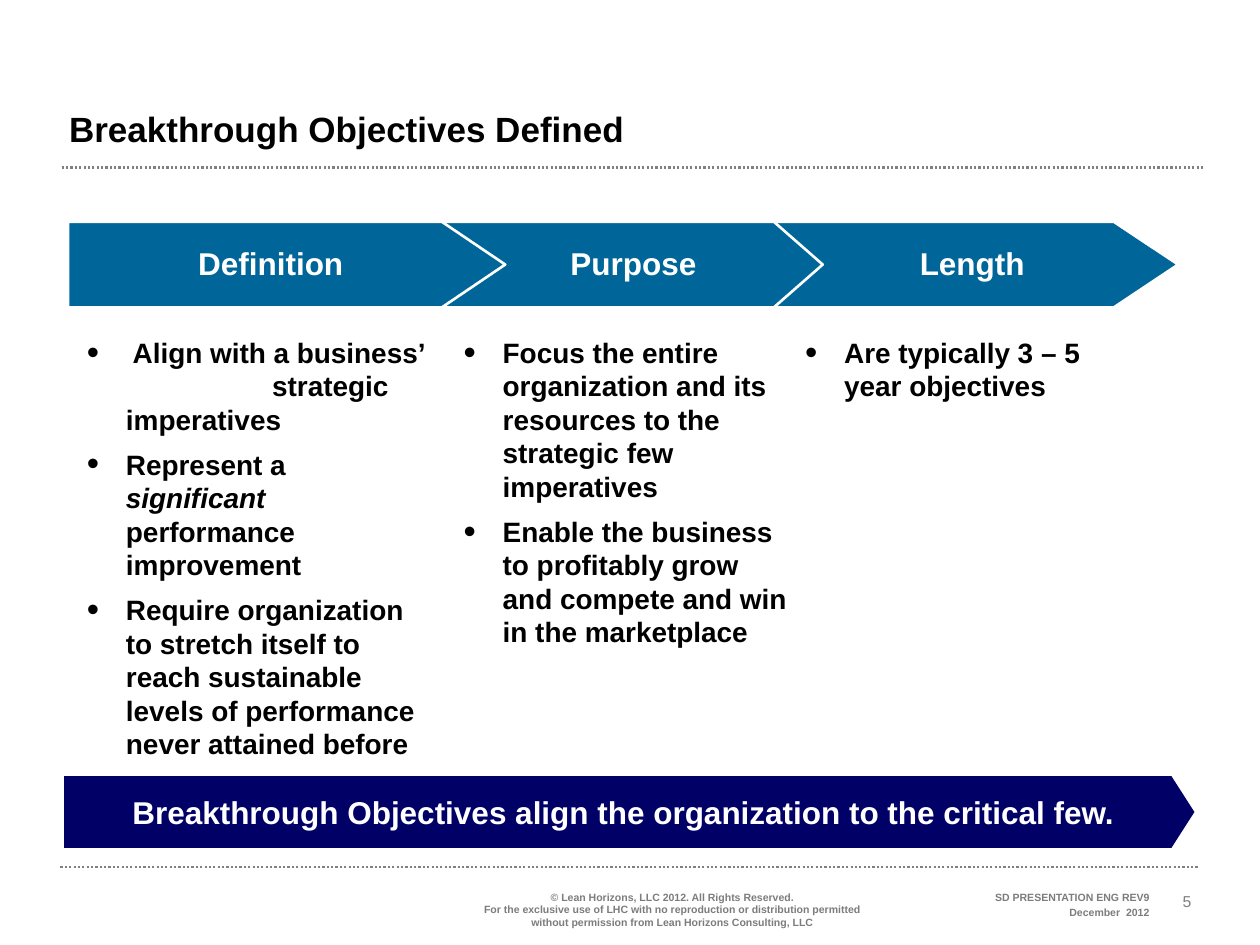
from lxml.etree import SubElement
from pptx import Presentation
from pptx.dml.color import RGBColor
from pptx.enum.dml import MSO_LINE
from pptx.enum.shapes import MSO_CONNECTOR, MSO_SHAPE
from pptx.enum.text import MSO_ANCHOR, PP_ALIGN
from pptx.oxml.ns import qn
from pptx.util import Inches, Pt

# Content
TITLE = "Breakthrough Objectives Defined"
BANNER = "Breakthrough Objectives align the organization to the critical few."
REVISION = ["SD PRESENTATION ENG REV9", "December  2012"]
COPYRIGHT = ["© Lean Horizons, LLC 2012. All Rights Reserved.\v"
             "For the exclusive use of LHC with no reproduction or distribution permitted "
             "without permission from Lean Horizons Consulting, LLC"]
# Each bullet is a list of runs; odd runs are italic
COLUMNS = [
    (0.61, 2.89, [[" Align with a business’\v\tstrategic imperatives"],
                  ["Represent a ", "significant ", "performance improvement"],
                  ["Require organization to stretch itself to reach sustainable "
                   "levels of performance never attained before"]]),
    (3.6, 2.79, [["Focus the entire organization and its resources to the "
                  "strategic few imperatives"],
                 ["Enable the business to profitably grow and compete and win "
                  "in the marketplace"]]),
    (6.31, 2.71, [["Are typically 3 – 5 year objectives"]]),
]
# Step arrows: text, left, width, point depth, alignment, text indent
STEPS = [
    ("Definition", 0.54, 3.47, 0.74, PP_ALIGN.CENTER, 0),
    ("Purpose", 3.53, 3.0, 0.57, PP_ALIGN.CENTER, 0.19),
    ("Length", 6.07, 3.28, 0.75, PP_ALIGN.LEFT, 1.18),
]
RULES = [(0.49, 9.56, 1.33), (0.48, 9.52, 6.88)]
BLACK, WHITE, GRAY, FOOT = "000000", "FFFFFF", "808080", "7C7C7C"
BLUE, NAVY = "006699", "000066"


def rgb(value):
    return RGBColor.from_string(value)


def style(p, size, color, bold=True, align=PP_ALIGN.LEFT):
    p.alignment = align
    for r in p.runs:
        f = r.font
        f.name, f.size, f.bold = "Arial", Pt(size), bold
        f.color.rgb = rgb(color)


def text_box(s, box, paras, size, color, bold=True, align=PP_ALIGN.LEFT,
             anchor=MSO_ANCHOR.TOP, gap=0):
    tf = s.shapes.add_textbox(*map(Inches, box)).text_frame
    tf.word_wrap, tf.vertical_anchor = True, anchor
    for i, text in enumerate(paras):
        p = tf.paragraphs[0] if i == 0 else tf.add_paragraph()
        p.text = text
        style(p, size, color, bold, align)
        if i:
            p.space_before = Pt(gap)
    return tf


def add_bullet(p):
    pPr = p._p.get_or_add_pPr()
    pPr.set("marL", str(Inches(0.31)))
    pPr.set("indent", str(-Inches(0.31)))
    SubElement(pPr, qn("a:buSzPct"), val="125000")
    SubElement(pPr, qn("a:buFont"), typeface="Arial")
    SubElement(pPr, qn("a:buChar"), char="•")
    if "\t" in p.text:
        tabs = SubElement(pPr, qn("a:tabLst"))
        SubElement(tabs, qn("a:tab"), pos=str(Inches(1.47)), algn="l")


def bullet_column(s, left, width, bullets):
    tf = text_box(s, (left, 2.62, width, 3.26), [b[0] for b in bullets], 16, BLACK, gap=6.4)
    tf.margin_left = tf.margin_right = Inches(0.08)
    tf.margin_top = tf.margin_bottom = Inches(0.04)
    for p, runs in zip(tf.paragraphs, bullets):
        for text in runs[1:]:
            p.add_run().text = text
        add_bullet(p)
        style(p, 16, BLACK)
        if len(runs) > 1:
            for r in p.runs[1::2]:
                r.font.italic = True


def arrow(s, box, depth, fill, text, align=PP_ALIGN.CENTER):
    sp = s.shapes.add_shape(MSO_SHAPE.PENTAGON, *map(Inches, box))
    sp.adjustments[0] = depth
    sp.shadow.inherit = False
    sp.fill.solid()
    sp.fill.fore_color.rgb = rgb(fill)
    sp.line.fill.background()
    tf = sp.text_frame
    tf.vertical_anchor = MSO_ANCHOR.MIDDLE
    tf.text = text
    style(tf.paragraphs[0], 18, WHITE, align=align)
    return sp


def main():
    prs = Presentation()
    prs.slide_width, prs.slide_height = Inches(10), Inches(7.5)
    s = prs.slides.add_slide(prs.slide_layouts[6])

    # Dotted rules
    for x1, x2, y in RULES:
        rule = s.shapes.add_connector(MSO_CONNECTOR.STRAIGHT, *map(Inches, (x1, y, x2, y)))
        rule.line.color.rgb = rgb(GRAY)
        rule.line.width = Pt(1.25)
        rule.line.dash_style = MSO_LINE.ROUND_DOT
        SubElement(rule._element.spPr, qn("a:effectLst"))

    # Footer
    text_box(s, (9.16, 6.88, 0.52, 0.4), ["5"], 9, GRAY, False,
             PP_ALIGN.CENTER, MSO_ANCHOR.BOTTOM)
    text_box(s, (7.23, 7.02, 1.99, 0.33), REVISION, 6, FOOT, align=PP_ALIGN.RIGHT, gap=1.8)
    text_box(s, (3.6, 7.02, 3.47, 0.4), COPYRIGHT, 6, FOOT, align=PP_ALIGN.CENTER)

    # Title
    tf = text_box(s, (0.45, 0.77, 9.07, 0.57), [TITLE], 20, BLACK, anchor=MSO_ANCHOR.MIDDLE)
    tf.paragraphs[0].line_spacing = 0.8

    # Bullet columns
    for column in COLUMNS:
        bullet_column(s, *column)

    # Step arrows, right to left so that each overlaps the next
    for text, left, width, depth, align, indent in reversed(STEPS):
        sp = arrow(s, (left, 1.76, width, 0.68), depth, BLUE, text, align)
        sp.line.color.rgb = rgb(WHITE)
        sp.line.width = Pt(1.5)
        tf = sp.text_frame
        tf.margin_left = tf.margin_right = tf.margin_top = tf.margin_bottom = Inches(0.05)
        p = tf.paragraphs[0]
        p.line_spacing = 0.95
        p._p.get_or_add_pPr().set("marL", str(Inches(indent)))

    # Closing banner
    banner = arrow(s, (0.51, 6.16, 8.97, 0.57), 0.32, NAVY, BANNER)
    banner.text_frame.word_wrap = False

    prs.save("out.pptx")


if __name__ == "__main__":
    main()
